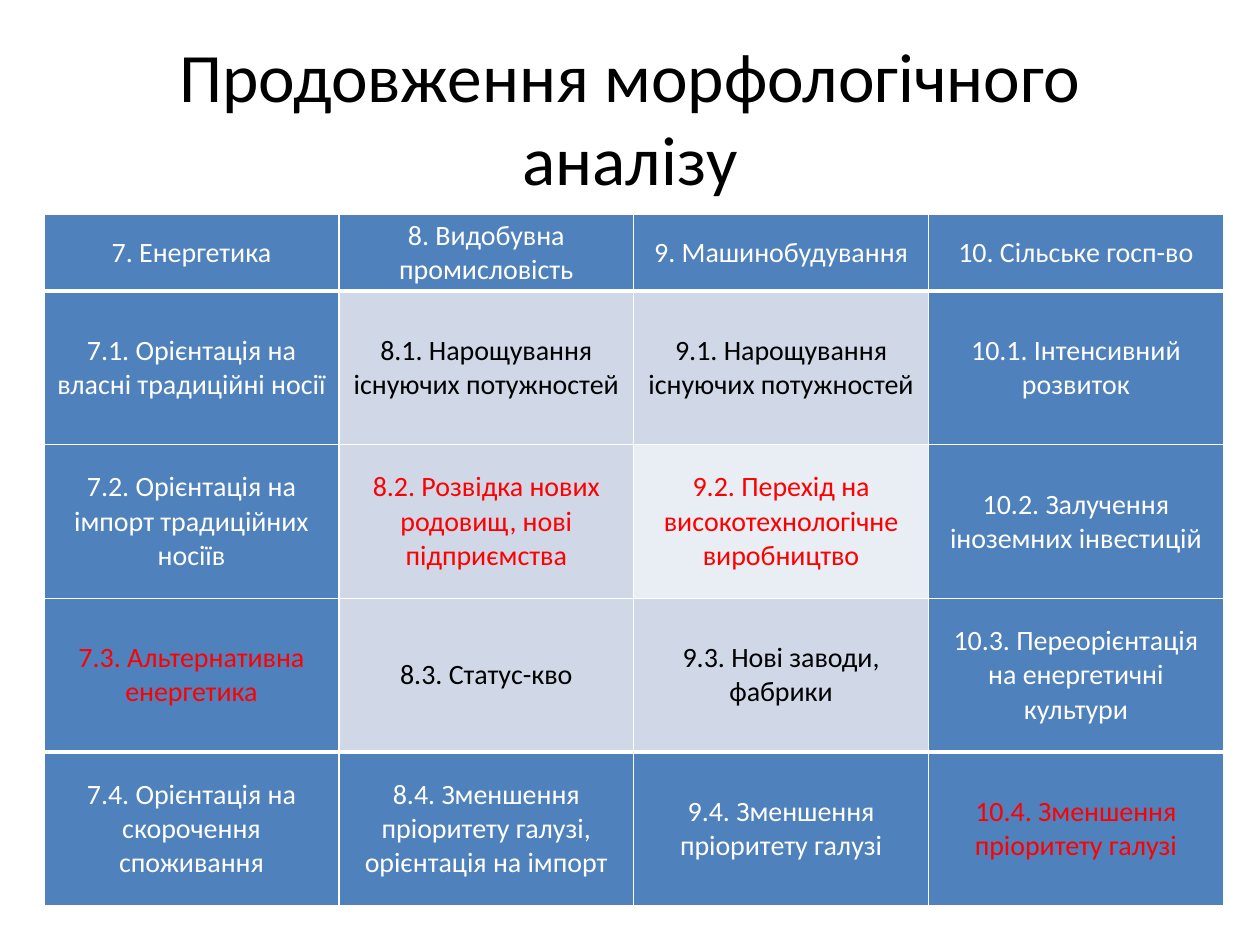
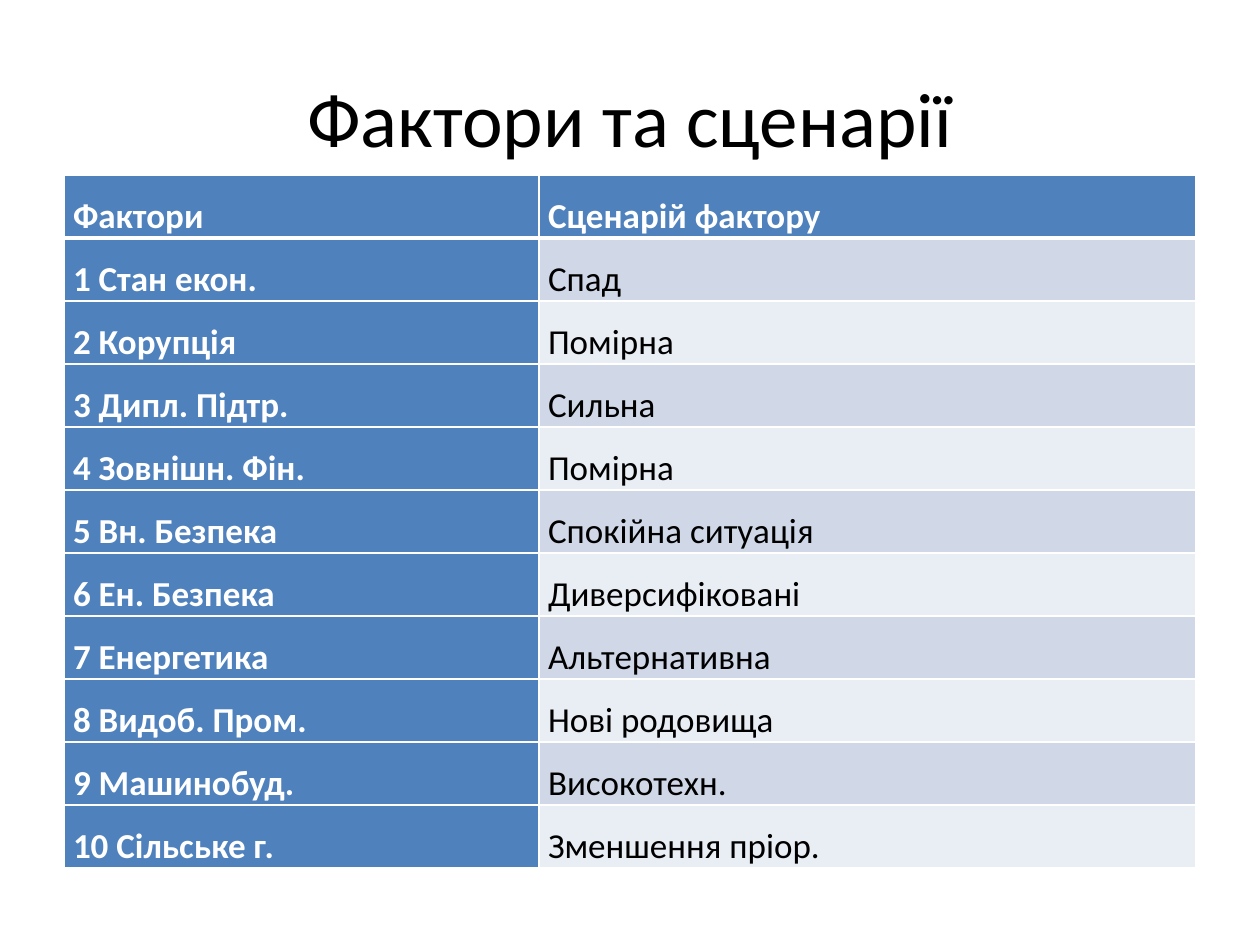
import dataclasses

import pptx
import pptx.dml.color
import pptx.enum.text
import pptx.oxml
import pptx.oxml.ns
import pptx.util

Inches = pptx.util.Inches
Pt = pptx.util.Pt
Color = pptx.dml.color.RGBColor.from_string
Align = pptx.enum.text.PP_ALIGN
Anchor = pptx.enum.text.MSO_ANCHOR


@dataclasses.dataclass(frozen=True)
class Theme:
    font: str = "Calibri"
    accent: str = "4F81BD"
    band: str = "D0D8E8"
    pale: str = "E9EDF4"
    white: str = "FFFFFF"
    black: str = "000000"
    chosen: str = "FF0000"
    title_size: float = 44
    long_title_size: float = 39.6
    analysis_size: float = 16
    factor_size: float = 20
    thin_border: int = 1
    thick_border: int = 3


THEME = Theme()
TITLE_ONLY_LAYOUT = 5

ANALYSIS_ROWS = [
    ["7. Енергетика", "8. Видобувна промисловість",
     "9. Машинобудування", "10. Сільське госп-во"],
    ["7.1. Орієнтація на власні традиційні носії",
     "8.1. Нарощування існуючих потужностей",
     "9.1. Нарощування існуючих потужностей",
     "10.1. Інтенсивний розвиток"],
    ["7.2. Орієнтація на імпорт традиційних носіїв",
     "8.2. Розвідка нових родовищ, нові підприємства",
     "9.2. Перехід на високотехнологічне виробництво",
     "10.2. Залучення іноземних інвестицій"],
    ["7.3. Альтернативна енергетика", "8.3. Статус-кво",
     "9.3. Нові заводи, фабрики",
     "10.3. Переорієнтація на енергетичні культури"],
    ["7.4. Орієнтація на скорочення споживання",
     "8.4. Зменшення пріоритету галузі, орієнтація на імпорт",
     "9.4. Зменшення пріоритету галузі",
     "10.4. Зменшення пріоритету галузі"],
]
CHOSEN_CELLS = {(3, 0), (2, 1), (2, 2), (4, 3)}

FACTOR_ROWS = [
    ["Фактори", "Сценарій фактору"],
    ["1 Стан екон.", "Спад"],
    ["2 Корупція", "Помірна"],
    ["3 Дипл. Підтр.", "Сильна"],
    ["4 Зовнішн. Фін.", "Помірна"],
    ["5 Вн. Безпека", "Спокійна ситуація"],
    ["6 Ен. Безпека", "Диверсифіковані"],
    ["7 Енергетика", "Альтернативна"],
    ["8 Видоб. Пром.", "Нові родовища"],
    ["9 Машинобуд.", "Високотехн."],
    ["10 Сільське г.", "Зменшення пріор."],
]


def set_attributes(target, values):
    for name, value in values.items():
        setattr(target, name, value)


def format_text(paragraph, size, color, bold=False, **paragraph_values):
    set_attributes(paragraph, paragraph_values)
    for run in paragraph.runs:
        set_attributes(run.font, {"name": THEME.font, "size": Pt(size), "bold": bold})
        run.font.color.rgb = Color(color)


def add_titled_slide(presentation, text, size):
    slide = presentation.slides.add_slide(presentation.slide_layouts[TITLE_ONLY_LAYOUT])
    title = slide.shapes.title
    set_attributes(title, {"left": Inches(0.5), "top": Inches(0.3),
                           "width": Inches(9), "height": Inches(1.25)})
    title.text_frame.text = text
    set_attributes(title.text_frame, {
        "word_wrap": True, "vertical_anchor": Anchor.MIDDLE,
        "auto_size": pptx.enum.text.MSO_AUTO_SIZE.NONE})
    format_text(title.text_frame.paragraphs[0], size, THEME.black, alignment=Align.CENTER)
    return slide


def add_borders(cell, top, bottom):
    """Draw white cell edges; call before the fill, which must follow them in the XML."""
    properties = cell._tc.get_or_add_tcPr()
    widths = {"L": THEME.thin_border, "R": THEME.thin_border, "T": top, "B": bottom}
    for side, width in widths.items():
        properties.append(pptx.oxml.parse_xml(
            f'<a:ln{side} {pptx.oxml.ns.nsdecls("a")} w="{Pt(width)}"><a:solidFill>'
            f'<a:srgbClr val="{THEME.white}"/></a:solidFill></a:ln{side}>'))


def add_grid(slide, rows, left, top, column_widths, row_heights, anchor,
             thick_rules, cell_style):
    """Add a table; thick_rules holds the rows with a heavy rule above them.

    cell_style(row, column) gives the fill and the text format of a cell.
    """
    frame = slide.shapes.add_table(
        len(rows), len(column_widths), Inches(left), Inches(top),
        Inches(sum(column_widths)), Inches(sum(row_heights)))
    table = frame.table
    set_attributes(table, {"first_row": False, "horz_banding": False})
    for column, width in zip(table.columns, column_widths):
        column.width = Inches(width)
    for row, height in zip(table.rows, row_heights):
        row.height = Inches(height)

    def rule_width(row_index):
        return THEME.thick_border if row_index in thick_rules else THEME.thin_border

    for row_index, texts in enumerate(rows):
        for column_index, text in enumerate(texts):
            cell = table.cell(row_index, column_index)
            fill, text_format = cell_style(row_index, column_index)
            cell.text = text
            set_attributes(cell, {
                "vertical_anchor": anchor,
                "margin_left": Inches(0.07), "margin_right": Inches(0.07),
                "margin_top": 0, "margin_bottom": 0})
            add_borders(cell, rule_width(row_index), rule_width(row_index + 1))
            cell.fill.solid()
            cell.fill.fore_color.rgb = Color(fill)
            format_text(cell.text_frame.paragraphs[0], **text_format)


def analysis_style(row, column):
    if row in (0, 4) or column in (0, 3):
        fill, color = THEME.accent, THEME.white
    else:
        fill = THEME.pale if (row, column) == (2, 2) else THEME.band
        color = THEME.black
    if (row, column) in CHOSEN_CELLS:
        color = THEME.chosen
    return fill, {"size": THEME.analysis_size, "color": color, "alignment": Align.CENTER}


def factor_style(row, column):
    heading = row == 0 or column == 0
    if heading:
        fill = THEME.accent
    else:
        fill = THEME.band if row % 2 else THEME.pale
    return fill, {"size": THEME.factor_size, "bold": heading, "line_spacing": 1.15,
                  "color": THEME.white if heading else THEME.black,
                  "alignment": Align.LEFT}


def add_analysis_slide(presentation):
    slide = add_titled_slide(presentation, "Продовження морфологічного аналізу",
                             THEME.long_title_size)
    add_grid(slide, ANALYSIS_ROWS, 0.35, 1.7, [2.34] * 4, [0.61] + [1.22] * 4,
             Anchor.MIDDLE, {1, 4}, analysis_style)


def add_factor_slide(presentation):
    slide = add_titled_slide(presentation, "Фактори та сценарії", THEME.title_size)
    add_grid(slide, FACTOR_ROWS, 0.51, 1.39, [3.77, 5.21], [0.5] * len(FACTOR_ROWS),
             Anchor.BOTTOM, {1}, factor_style)


def main():
    presentation = pptx.Presentation()
    set_attributes(presentation, {"slide_width": Inches(10), "slide_height": Inches(7.5)})
    add_analysis_slide(presentation)
    add_factor_slide(presentation)
    presentation.save("out.pptx")


if __name__ == "__main__":
    main()
